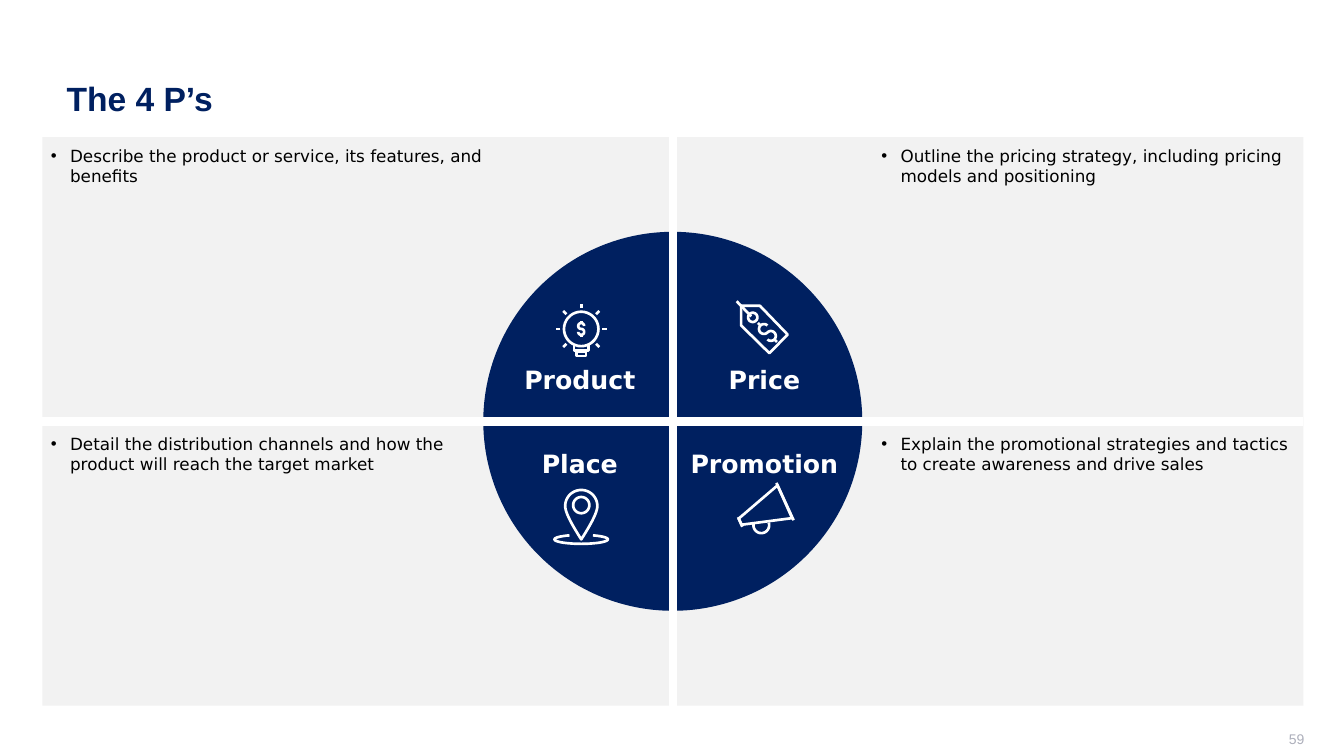
from dataclasses import dataclass
from math import cos, radians, sin

from lxml.etree import SubElement
from pptx import Presentation
from pptx.dml.color import RGBColor as RGB
from pptx.enum.shapes import MSO_CONNECTOR as Link, MSO_SHAPE as Kind
from pptx.enum.text import MSO_ANCHOR as Anchor, MSO_AUTO_SIZE as Fit, PP_ALIGN as Align
from pptx.oxml.ns import qn
from pptx.util import Pt


@dataclass(frozen=True)
class Theme:
    navy: RGB = RGB(0x00, 0x20, 0x60)
    gray: RGB = RGB(0xF2, 0xF2, 0xF2)
    white: RGB = RGB(0xFF, 0xFF, 0xFF)
    black: RGB = RGB(0x00, 0x00, 0x00)
    mute: RGB = RGB(0xAD, 0xAF, 0xBB)
    head: str = "Arial"
    body: str = "DejaVu Sans"
    title: int = 24
    label: int = 18
    note: int = 12
    page: int = 10
    rule: float = 6
    pen: float = 1.9


THEME = Theme()
LEFT, TOP, WIDE, HIGH = 30.24, 97.92, 900.72, 406.08
MID_X, MID_Y = LEFT + WIDE / 2, TOP + HIGH / 2
DISC = 270.72
ICON_X = 65.4


def style(frame, size, color, font, bold=False):
    for para in frame.paragraphs:
        for run in para.runs:
            run.font.size = Pt(size)
            run.font.name = font
            run.font.bold = bold
            run.font.color.rgb = color


def add_text(slide, box, text, inset, align=Align.LEFT, fit=Fit.SHAPE_TO_FIT_TEXT):
    frame = slide.shapes.add_textbox(*map(Pt, box)).text_frame
    frame.word_wrap = True
    frame.auto_size = fit
    (frame.margin_left, frame.margin_top,
     frame.margin_right, frame.margin_bottom) = map(Pt, inset)
    frame.text = text
    frame.paragraphs[0].alignment = align
    return frame


def add_title(slide, text):
    shape = slide.shapes.title
    shape.left, shape.top, shape.width, shape.height = map(Pt, (40.32, 28.8, 871.92, 85.68))
    frame = shape.text_frame
    frame.text = text
    frame.vertical_anchor = Anchor.MIDDLE
    frame.paragraphs[0].alignment = Align.LEFT
    frame.paragraphs[0].line_spacing = 0.9
    style(frame, THEME.title, THEME.navy, THEME.head, True)


def add_block(slide, kind, box, color):
    shape = slide.shapes.add_shape(kind, *map(Pt, box))
    shape.shadow.inherit = False
    shape.fill.solid()
    shape.fill.fore_color.rgb = color
    shape.line.fill.background()
    return shape


def add_line(shapes, start, end, width):
    line = shapes.add_connector(Link.STRAIGHT, *map(Pt, (*start, *end)))
    line.line.color.rgb = THEME.white
    line.line.width = Pt(width)
    SubElement(line._element.spPr, qn("a:effectLst"))
    return line


def add_rule(slide, panel, start, end, sides):
    line = add_line(slide.shapes, start, end, THEME.rule)
    line.begin_connect(panel, sides[0])
    line.end_connect(panel, sides[1])


def add_note(slide, x, y, width, text):
    frame = add_text(slide, (x, y, width, 34.56), text, (6, 6, 3, 0))
    props = frame.paragraphs[0]._p.get_or_add_pPr()
    props.set("marL", str(Pt(13.8)))
    props.set("indent", str(Pt(-13.8)))
    SubElement(props, qn("a:buFont")).set("typeface", THEME.head)
    SubElement(props, qn("a:buChar")).set("char", "•")
    style(frame, THEME.note, THEME.black, THEME.body)


def add_label(slide, x, y, text):
    frame = add_text(slide, (x - 55.44, y, 110.88, 21.6), text, (0, 0, 0, 0), Align.CENTER)
    style(frame, THEME.label, THEME.white, THEME.body, True)


def polar(x, y, wide, high, angle):
    return x + wide * cos(radians(angle)), y + high * sin(radians(angle))


def arc(x, y, wide, high, start, end, steps=36):
    return [polar(x, y, wide, high, start + (end - start) * i / steps)
            for i in range(steps + 1)]


def curve(a, b, c, d, steps=16):
    mix = [(i / steps, 1 - i / steps) for i in range(steps + 1)]
    return [tuple(u**3 * p + 3 * u * u * t * q + 3 * u * t * t * r + t**3 * s
                  for p, q, r, s in zip(a, b, c, d)) for t, u in mix]


class Icon:
    def __init__(self, slide, x, y):
        self.shapes = slide.shapes.add_group_shape().shapes
        self.x, self.y = x, y

    def move(self, point):
        return self.x + point[0], self.y + point[1]

    def line(self, start, end):
        add_line(self.shapes, self.move(start), self.move(end), THEME.pen)

    def trace(self, points, close=False):
        first, *rest = [tuple(map(Pt, self.move(point))) for point in points]
        form = self.shapes.build_freeform(*first)
        form.add_line_segments(rest, close=close)
        shape = form.convert_to_shape()
        shape.shadow.inherit = False
        shape.fill.background()
        shape.line.color.rgb = THEME.white
        shape.line.width = Pt(THEME.pen)

    def ring(self, x, y, size):
        self.trace(arc(x, y, size, size, 0, 350, 35), True)

    def dollar(self, x, y, size, turn=0):
        up, down = turn - 90, turn + 90
        high, low = polar(x, y, size, size, up), polar(x, y, size, size, down)
        self.trace(arc(*high, size, size, turn, turn - 270)
                   + arc(*low, size, size, up, turn + 180))
        for angle in (up, down):
            self.line(*[polar(x, y, size * k, size * k, angle) for k in (2, 2.75)])


def draw_bulb(icon):
    icon.ring(0, 0, 12.3)
    for angle in range(135, 406, 45):
        icon.line(*[polar(0, 0, size, size, angle) for size in (15, 18.2)])
    icon.trace([(-5.2, 11.2), (-5.2, 15.5), (5.2, 15.5), (5.2, 11.2)])
    icon.trace([(-3.4, 15.9), (3.4, 15.9), (3.4, 19.3), (-3.4, 19.3)], True)
    icon.dollar(0, 0, 2.1)


def draw_tag(icon):
    icon.trace([(-16.6, -16.6), (-3.2, -16.6), (16.6, 4), (3.6, 17.3), (-16.6, -2.5)], True)
    icon.line((-19.8, -19.8), (-9.4, -9))
    icon.ring(-8.3, -8.3, 3.3)
    icon.dollar(2.2, 2.5, 3.5, -45)


def draw_pin(icon):
    right = curve((11.5, 0), (11.5, 6), (3, 19), (0, 23.8))
    left = [(-x, y) for x, y in reversed(right)]
    icon.trace(arc(0, 0, 11.5, 11.5, 180, 360) + right[1:] + left[1:-1], True)
    icon.ring(0, -0.7, 5.8)
    icon.trace(arc(0, 23.8, 19.1, 3.2, -64, 244))


def draw_horn(icon):
    icon.trace([(-18.4, 9), (9.4, -14.8), (19.8, 8.6), (-16.2, 13.3)], True)
    icon.line((8.6, -16.6), (20.9, 10.1))
    icon.line((-18.7, 7.9), (-15.8, 14.8))
    icon.trace(arc(-2.2, 13.7, 5.6, 5.6, -20, 195))


PARTS = [
    ("Product", "Describe the product or service, its features, and benefits", draw_bulb),
    ("Price", "Outline the pricing strategy, including pricing models and positioning", draw_tag),
    ("Place", "Detail the distribution channels and how the product will reach the target market",
     draw_pin),
    ("Promotion", "Explain the promotional strategies and tactics to create awareness and drive sales",
     draw_horn),
]
NOTES_X = ((LEFT, 320.4), (623.52, 307.44))
ROWS = ((TOP, 259.92, 235), (303.84, 320.4, 361.5))


def main():
    deck = Presentation()
    deck.slide_width, deck.slide_height = Pt(960), Pt(540)
    slide = deck.slides.add_slide(deck.slide_layouts[5])
    add_title(slide, "The 4 P’s")
    panel = add_block(slide, Kind.RECTANGLE, (LEFT, TOP, WIDE, HIGH), THEME.gray)
    add_block(slide, Kind.OVAL, (MID_X - DISC / 2, MID_Y - DISC / 2, DISC, DISC), THEME.navy)
    add_rule(slide, panel, (MID_X, TOP + HIGH), (MID_X, TOP), (2, 0))
    add_rule(slide, panel, (LEFT, MID_Y), (LEFT + WIDE, MID_Y), (1, 3))
    for i, (name, note, draw) in enumerate(PARTS):
        row, col = divmod(i, 2)
        note_y, label_y, icon_y = ROWS[row]
        note_x, width = NOTES_X[col]
        x = MID_X + (2 * col - 1) * ICON_X
        add_note(slide, note_x, note_y, width, note)
        add_label(slide, x - 1 + col, label_y, name)
        draw(Icon(slide, x, icon_y))
    page = add_text(slide, (722.88, 522, 216, 15.12), "59", (7.2, 0, 7.2, 3.6),
                    Align.RIGHT, Fit.NONE)
    page.vertical_anchor = Anchor.MIDDLE
    style(page, THEME.page, THEME.mute, THEME.head)
    deck.save("out.pptx")


if __name__ == "__main__":
    main()
